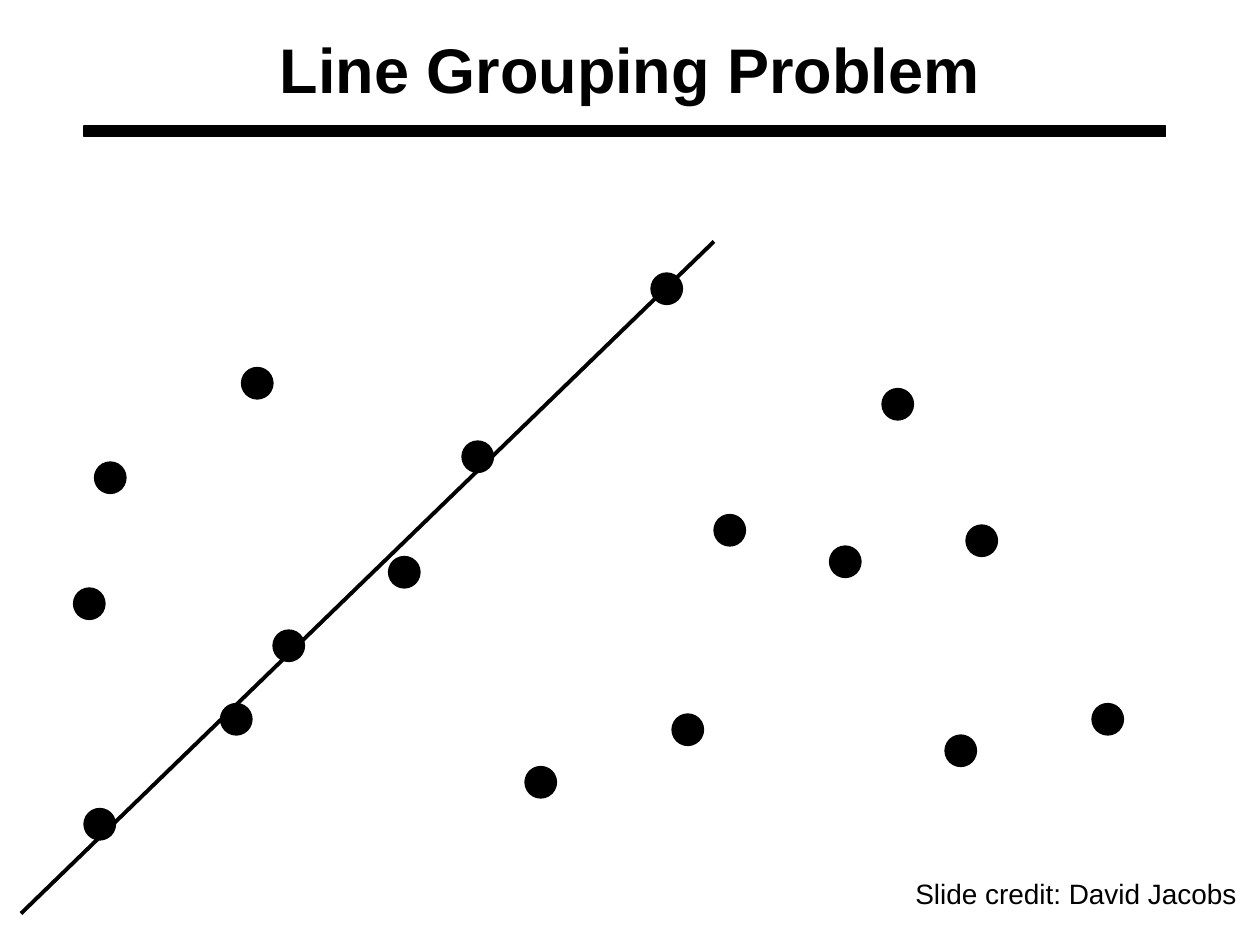
from pptx import Presentation
from pptx.dml.color import RGBColor
from pptx.enum.shapes import MSO_CONNECTOR, MSO_SHAPE
from pptx.enum.text import MSO_ANCHOR, PP_ALIGN
from pptx.oxml.ns import qn
from pptx.util import Pt

OVAL, RECT = MSO_SHAPE.OVAL, MSO_SHAPE.RECTANGLE
STRAIGHT = MSO_CONNECTOR.STRAIGHT
LEFT, CENTER = PP_ALIGN.LEFT, PP_ALIGN.CENTER
TOP, MIDDLE = MSO_ANCHOR.TOP, MSO_ANCHOR.MIDDLE

BLACK = "000000"
FONT = "Arial"
DOT = 18

# Left and top of each dot, in points.
ON_LINE = [(48, 462), (126, 402), (156, 360), (222, 318), (264, 252), (372, 156)]
OFF_LINE = [(42, 336), (54, 264), (138, 210), (300, 438), (384, 408), (408, 294),
            (474, 312), (504, 222), (540, 420), (552, 300), (624, 402)]


def color(code):
    return RGBColor.from_string(code)


def add_text(slide, text, box, size, bold=False, align=LEFT, anchor=TOP, wrap=True):
    frame = slide.shapes.add_textbox(*map(Pt, box)).text_frame
    frame.word_wrap = wrap
    frame.vertical_anchor = anchor
    para = frame.paragraphs[0]
    para.alignment = align
    run = para.add_run()
    run.text = text
    run.font.name = FONT
    run.font.size = Pt(size)
    run.font.bold = bold
    run.font.color.rgb = color(BLACK)


def add_solid(slide, kind, box):
    shape = slide.shapes.add_shape(kind, *map(Pt, box))
    shape.shadow.inherit = False
    shape.fill.solid()
    shape.fill.fore_color.rgb = color(BLACK)
    shape.line.color.rgb = color(BLACK)
    shape.line.width = Pt(0.75)


def add_line(slide, start, end, width):
    line = slide.shapes.add_connector(STRAIGHT, *map(Pt, start + end))
    line.line.color.rgb = color(BLACK)
    line.line.width = Pt(width)
    props = line._element.spPr
    props.append(props.makeelement(qn("a:effectLst"), {}))


def main():
    deck = Presentation()
    deck.slide_width, deck.slide_height = Pt(720), Pt(540)
    slide = deck.slides.add_slide(deck.slide_layouts[6])

    add_text(slide, "Line Grouping Problem", (54, 0, 612, 78), 36,
             bold=True, align=CENTER, anchor=MIDDLE)
    for left, top in ON_LINE + OFF_LINE:
        add_solid(slide, OVAL, (left, top, DOT, DOT))
    add_line(slide, (12, 522), (408, 138), 2.25)
    add_text(slide, "Slide credit: David Jacobs", (516, 497.5, 199, 26.5), 16,
             wrap=False)
    add_solid(slide, RECT, (48, 72, 618, 6))

    deck.save("out.pptx")


if __name__ == "__main__":
    main()
